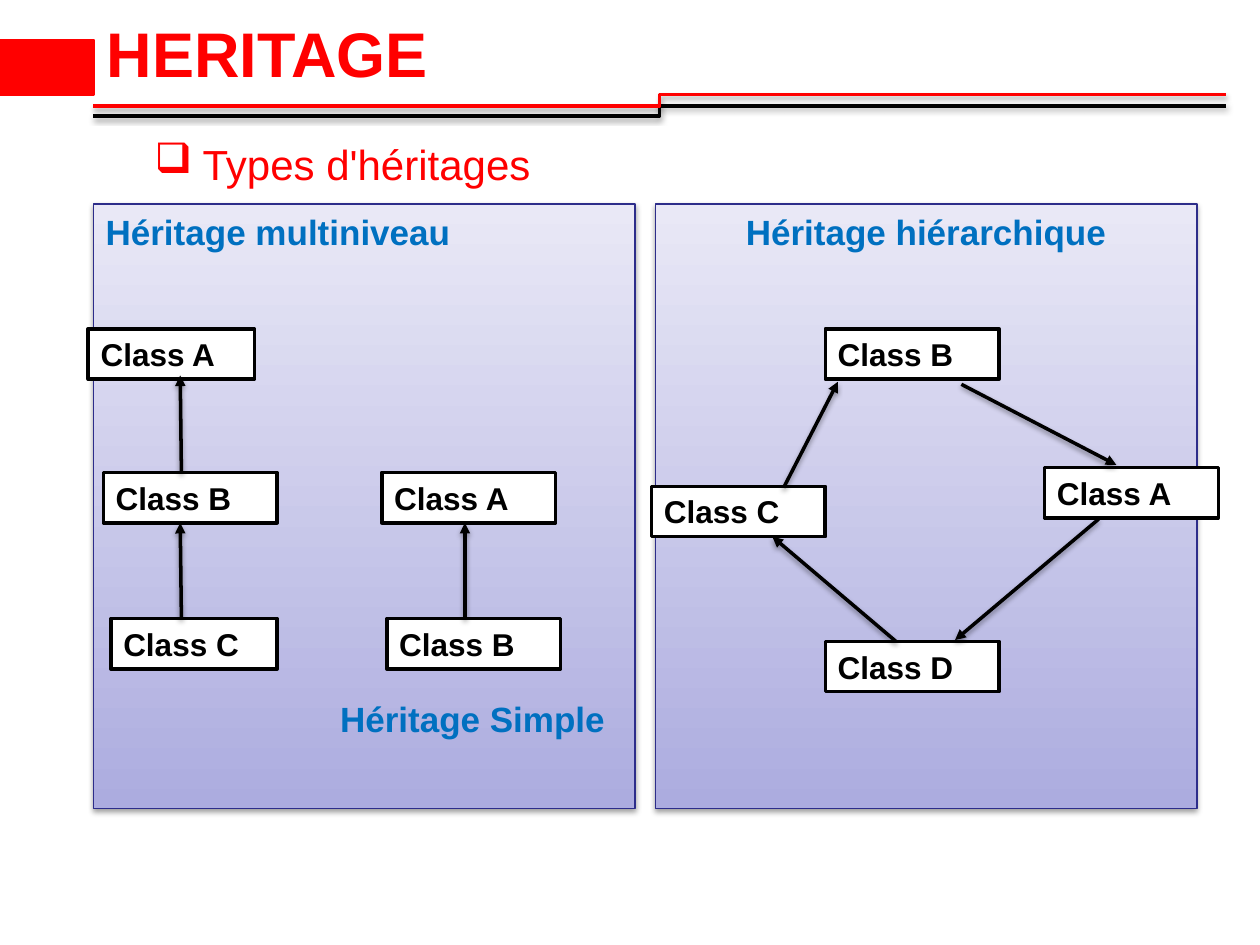
from dataclasses import dataclass

from lxml import etree
from pptx import Presentation
from pptx.dml.color import RGBColor
from pptx.enum.shapes import MSO_CONNECTOR, MSO_SHAPE
from pptx.enum.text import MSO_ANCHOR, PP_ALIGN
from pptx.oxml import parse_xml
from pptx.oxml.ns import nsdecls, qn
from pptx.util import Inches, Pt

RECTANGLE = MSO_SHAPE.RECTANGLE
STRAIGHT, ELBOW = MSO_CONNECTOR.STRAIGHT, MSO_CONNECTOR.ELBOW
LEFT, CENTER = PP_ALIGN.LEFT, PP_ALIGN.CENTER
TOP, MIDDLE = MSO_ANCHOR.TOP, MSO_ANCHOR.MIDDLE


@dataclass(frozen=True)
class Theme:
    font: str = "Arial"
    red: RGBColor = RGBColor(0xFF, 0x00, 0x00)
    black: RGBColor = RGBColor(0x00, 0x00, 0x00)
    white: RGBColor = RGBColor(0xFF, 0xFF, 0xFF)
    blue: RGBColor = RGBColor(0x00, 0x70, 0xC0)
    panel_top: RGBColor = RGBColor(0xE9, 0xE8, 0xF6)
    panel_bottom: RGBColor = RGBColor(0xAC, 0xAC, 0xDF)
    panel_line: RGBColor = RGBColor(0x2D, 0x2D, 0x8A)
    title_size: int = 36
    subtitle_size: int = 24
    heading_size: int = 20
    class_size: int = 18
    line_width: float = 2
    panel_line_width: float = 0.75


@dataclass(frozen=True)
class ClassBox:
    name: str
    left: float
    top: float
    width: float = 1.38
    height: float = 0.4


@dataclass(frozen=True)
class Line:
    start: tuple[float, float]
    end: tuple[float, float]


@dataclass(frozen=True)
class Panel:
    heading: str
    left: float
    alignment: PP_ALIGN


THEME = Theme()

HEADER_RULES = [
    (Line((0.74, 0.92), (9.73, 0.84)), THEME.black),
    (Line((0.74, 0.84), (9.73, 0.75)), THEME.red),
]
PANELS = [
    Panel("Héritage multiniveau", 0.74, LEFT),
    Panel("Héritage hiérarchique", 5.2, CENTER),
]
CLASS_BOXES = [
    # multilevel
    ClassBox("Class A", 0.7, 2.61, 1.32),
    ClassBox("Class B", 0.82, 3.75),
    ClassBox("Class C", 0.88, 4.91, 1.32),
    # simple
    ClassBox("Class A", 3.03, 3.75),
    ClassBox("Class B", 3.07, 4.91),
    # hierarchical
    ClassBox("Class B", 6.55, 2.61),
    ClassBox("Class C", 5.17, 3.86),
    ClassBox("Class A", 8.29, 3.71),
    ClassBox("Class D", 6.55, 5.09),
]
ARROWS = [
    Line((1.44, 3.75), (1.43, 2.98)),
    Line((1.44, 4.91), (1.43, 4.15)),
    Line((3.69, 4.91), (3.69, 4.15)),
    Line((6.22, 3.87), (6.65, 3.03)),
    Line((7.11, 5.09), (6.13, 4.26)),
    Line((8.72, 4.12), (7.58, 5.08)),
    Line((7.63, 3.05), (8.86, 3.69)),
]


def add_shadow(shape) -> None:
    """Give a shape a soft shadow just below it."""
    shape._element.spPr.append(parse_xml(
        f'<a:effectLst {nsdecls("a")}>'
        f'<a:outerShdw blurRad="{Pt(3.1)}" dist="{Pt(1.6)}" dir="5400000" rotWithShape="0">'
        '<a:srgbClr val="000000"><a:alpha val="38000"/></a:srgbClr>'
        '</a:outerShdw></a:effectLst>'))


def write_text(shape, text: str, size: float, color: RGBColor, bold: bool = True,
               alignment: PP_ALIGN = LEFT, anchor: MSO_ANCHOR = TOP):
    """Fill a shape with one formatted paragraph and return the paragraph."""
    frame = shape.text_frame
    frame.text = text
    frame.word_wrap = True
    frame.vertical_anchor = anchor
    paragraph = frame.paragraphs[0]
    paragraph.alignment = alignment
    font = paragraph.runs[0].font
    font.name, font.size, font.bold = THEME.font, Pt(size), bold
    font.color.rgb = color
    return paragraph


def add_text(slide, left: float, top: float, width: float, height: float,
             text: str, size: float, color: RGBColor, **options):
    box = slide.shapes.add_textbox(Inches(left), Inches(top), Inches(width), Inches(height))
    return write_text(box, text, size, color, **options)


def add_bullet(paragraph, character: str, indent: float) -> None:
    properties = paragraph._p.get_or_add_pPr()
    properties.set("marL", str(Inches(indent)))
    properties.set("indent", str(-Inches(indent)))
    etree.SubElement(properties, qn("a:buChar")).set("char", character)


def add_rectangle(slide, left: float, top: float, width: float, height: float,
                  fill: RGBColor, line: RGBColor, line_width: float = THEME.line_width):
    shape = slide.shapes.add_shape(
        RECTANGLE, Inches(left), Inches(top), Inches(width), Inches(height))
    shape.shadow.inherit = False
    shape.fill.solid()
    shape.fill.fore_color.rgb = fill
    shape.line.color.rgb = line
    shape.line.width = Pt(line_width)
    return shape


def add_line(slide, line: Line, color: RGBColor, kind: MSO_CONNECTOR = STRAIGHT,
             arrowhead: bool = False) -> None:
    connector = slide.shapes.add_connector(
        kind, *(Inches(value) for value in line.start + line.end))
    connector.line.color.rgb = color
    connector.line.width = Pt(THEME.line_width)
    if arrowhead:
        outline = connector.line._get_or_add_ln()
        etree.SubElement(outline, qn("a:tailEnd")).set("type", "triangle")
    add_shadow(connector)


def add_panel(slide, panel: Panel) -> None:
    shape = add_rectangle(slide, panel.left, 1.62, 4.3, 4.8, THEME.panel_top,
                          THEME.panel_line, THEME.panel_line_width)
    shape.fill.gradient()
    shape.fill.gradient_angle = 270
    stops = shape.fill.gradient_stops
    stops[0].color.rgb = THEME.panel_top
    stops[1].color.rgb = THEME.panel_bottom
    shape._element.spPr.remove(shape._element.spPr.find(qn("a:effectLst")))
    add_shadow(shape)
    paragraph = write_text(shape, panel.heading, THEME.heading_size, THEME.blue,
                           alignment=panel.alignment)
    paragraph.space_before = Pt(THEME.heading_size * 0.2)


def add_class_box(slide, box: ClassBox) -> None:
    shape = add_rectangle(slide, box.left, box.top, box.width, box.height,
                          THEME.white, THEME.black)
    write_text(shape, box.name, THEME.class_size, THEME.black)


def add_header(slide) -> None:
    for rule, color in HEADER_RULES:
        add_line(slide, rule, color, ELBOW)
    add_rectangle(slide, 0, 0.32, 0.74, 0.43, THEME.red, THEME.red)
    add_text(slide, 0.75, -0.21, 8.98, 1.25, "HERITAGE", THEME.title_size, THEME.red,
             anchor=MIDDLE)


def main() -> None:
    presentation = Presentation()
    presentation.slide_width, presentation.slide_height = Inches(10), Inches(7.5)
    slide = presentation.slides.add_slide(presentation.slide_layouts[6])
    add_header(slide)
    for panel in PANELS:
        add_panel(slide, panel)
    subtitle = add_text(slide, 1.13, 1.05, 3.4, 0.5, "Types d'héritages",
                        THEME.subtitle_size, THEME.red, bold=False)
    add_bullet(subtitle, "❑", 0.38)
    for box in CLASS_BOXES:
        add_class_box(slide, box)
    for arrow in ARROWS:
        add_line(slide, arrow, THEME.black, arrowhead=True)
    add_text(slide, 2.6, 5.49, 2.31, 0.44, "Héritage Simple", THEME.heading_size, THEME.blue)
    presentation.save("out.pptx")


if __name__ == "__main__":
    main()
